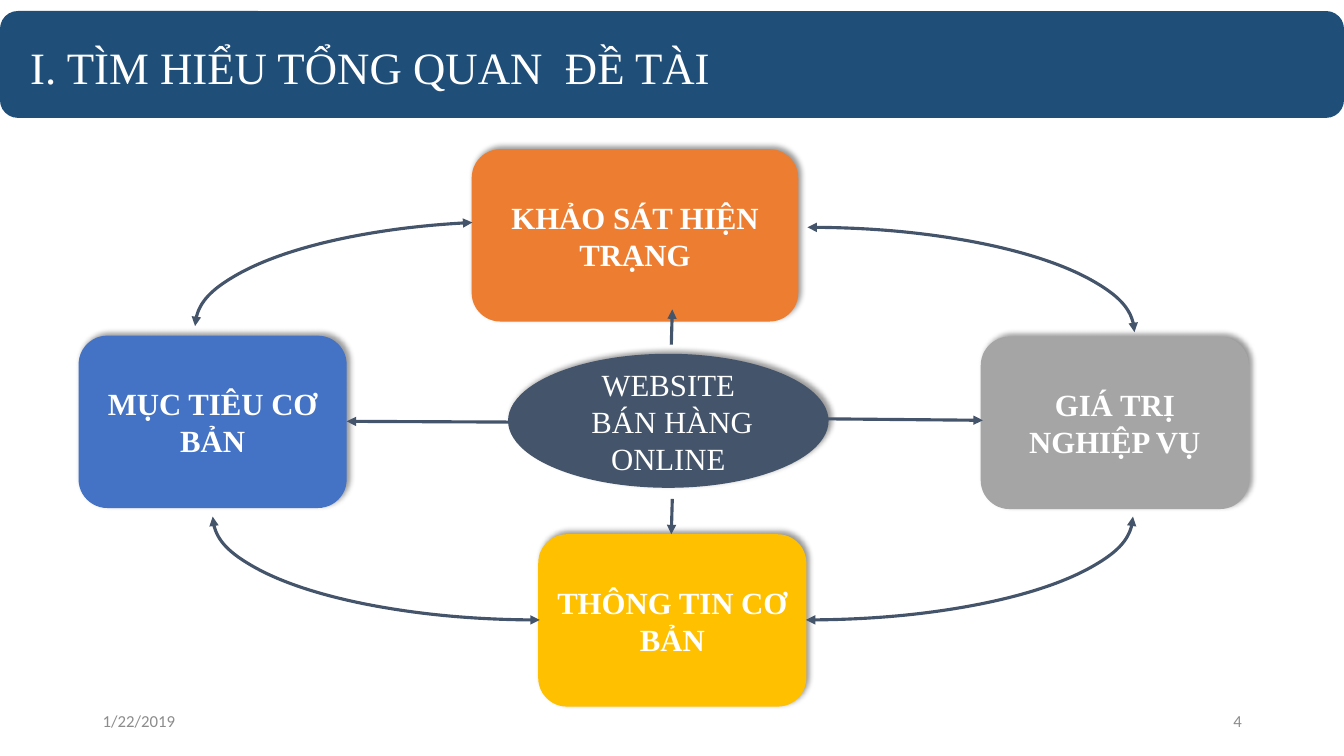
from lxml.etree import SubElement
from pptx import Presentation
from pptx.dml.color import RGBColor
from pptx.enum.shapes import MSO_CONNECTOR, MSO_SHAPE
from pptx.enum.text import MSO_ANCHOR, MSO_AUTO_SIZE, PP_ALIGN
from pptx.oxml.ns import qn
from pptx.util import Inches, Pt

SERIF, SANS = "Times New Roman", "Calibri"
WHITE, SLATE, NAVY, GREY = "FFFFFF", "44546A", "1F4E79", "8C8C8C"
COLS, ROWS = 40, 22.5
TILE_W, TILE_H = 7.98, 5.13
ARC_H = 19.47

TITLE = "I. TÌM HIỂU TỔNG QUAN  ĐỀ TÀI"
TILES = [
    ("MỤC TIÊU CƠ BẢN", "4472C4", 2.34, 9.99, TILE_W),
    ("GIÁ TRỊ NGHIỆP VỤ", "A5A5A5", 29.19, 10.02, TILE_W),
    ("KHẢO SÁT HIỆN TRẠNG", "ED7D31", 14.04, 4.44, 9.72),
    ("THÔNG TIN CƠ BẢN", "FFC000", 16.02, 15.9, TILE_W),
]
HUB = ["WEBSITE", " BÁN HÀNG ONLINE"]
ARCS = [
    (12.42, -0.03, 6.24, 270, False, 200.59),
    (20.91, 5.64, 6.15, 90, False, 0),
    (12.99, 5.64, 6.15, 90, True, 0),
    (20.91, 0.15, 6.24, 270, True, 0),
]
SPOKES = [
    (19.98, 10.26, 20.01, 9.21),
    (20.01, 14.85, 19.98, 15.9),
    (16.74, 12.57, 10.32, 12.54),
    (22.83, 12.45, 29.25, 12.51),
]
FOOT = [("1/22/2019", 2.76, PP_ALIGN.LEFT), ("4", 28.26, PP_ALIGN.RIGHT)]


def rgb(code):
    """Turn a hex string into a colour."""
    return RGBColor.from_string(code)


def grid(*cells):
    """Turn grid units into slide lengths."""
    return [Inches(cell / 3) for cell in cells]


def write(shape, lines, size, font, color, align, bold=False):
    """Fill a shape with centred-height text, one paragraph a line."""
    frame = shape.text_frame
    frame.word_wrap = True
    frame.auto_size = MSO_AUTO_SIZE.NONE
    frame.vertical_anchor = MSO_ANCHOR.MIDDLE
    for i, line in enumerate(lines):
        para = frame.paragraphs[0] if i == 0 else frame.add_paragraph()
        para.alignment = align
        run = para.add_run()
        run.text = line
        run.font.size, run.font.name, run.font.bold = Pt(size), font, bold
        run.font.color.rgb = rgb(color)


def block(slide, kind, color, *box):
    """Add a plain filled shape."""
    shape = slide.shapes.add_shape(kind, *grid(*box))
    shape.shadow.inherit = False
    shape.fill.solid()
    shape.fill.fore_color.rgb = rgb(color)
    shape.line.fill.background()
    return shape


def shade(shape):
    """Give a shape a soft shadow to the upper right."""
    glow = SubElement(shape._element.spPr.find(qn("a:effectLst")), qn("a:outerShdw"),
                      blurRad=str(Pt(4)), dist=str(Pt(3)), dir="18900000",
                      algn="bl", rotWithShape="0")
    tint = SubElement(glow, qn("a:srgbClr"), val="000000")
    SubElement(tint, qn("a:alpha"), val="40000")


def arrow(shape, *ends):
    """Draw a line in slate with arrowheads at the named ends."""
    shape.line.color.rgb = rgb(SLATE)
    shape.line.width = Pt(2.25)
    line = shape._element.spPr.find(qn("a:ln"))
    for end in ends:
        SubElement(line, qn("a:" + end), type="triangle")


def main():
    """Build the slide and save it."""
    deck = Presentation()
    deck.slide_width, deck.slide_height = grid(COLS, ROWS)
    slide = deck.slides.add_slide(deck.slide_layouts[5])
    shapes = slide.shapes

    bar = block(slide, MSO_SHAPE.ROUNDED_RECTANGLE, NAVY, 0, 0.33, COLS, 3.18)
    title = shapes.title
    title.left, title.top, title.width, title.height = grid(0.6, 1.02, 21.48, 1.92)
    write(title, [TITLE], 32, SERIF, WHITE, PP_ALIGN.LEFT)
    bar._element.addnext(title._element)

    for text, color, x, y, width in TILES:
        tile = block(slide, MSO_SHAPE.ROUNDED_RECTANGLE, color, x, y, width, TILE_H)
        shade(tile)
        write(tile, [text], 22, SERIF, WHITE, PP_ALIGN.CENTER, True)

    hub = block(slide, MSO_SHAPE.OVAL, SLATE, 15.12, 10.53, 9.54, 3.99)
    shade(hub)
    write(hub, HUB, 22, SERIF, WHITE, PP_ALIGN.CENTER)
    frame = hub.text_frame
    frame.margin_left = frame.margin_right = frame.margin_top = frame.margin_bottom = 0

    for x, y, width, turn, flip, stop in ARCS:
        arc = shapes.add_shape(MSO_SHAPE.ARC, *grid(x, y, width, ARC_H))
        arc.shadow.inherit = False
        arc.fill.background()
        arc.adjustments[0], arc.adjustments[1] = 162, stop
        arc.rotation = turn
        if flip:
            arc._element.spPr.find(qn("a:xfrm")).set("flipV", "1")
        arrow(arc, "headEnd", "tailEnd")

    for ends in SPOKES:
        spoke = shapes.add_connector(MSO_CONNECTOR.STRAIGHT, *grid(*ends))
        arrow(spoke, "tailEnd")
        SubElement(spoke._element.spPr, qn("a:effectLst"))

    for text, x, align in FOOT:
        note = shapes.add_textbox(*grid(x, 20.85, 9, 1.2))
        write(note, [text], 12, SANS, GREY, align)

    deck.save("out.pptx")


if __name__ == "__main__":
    main()
